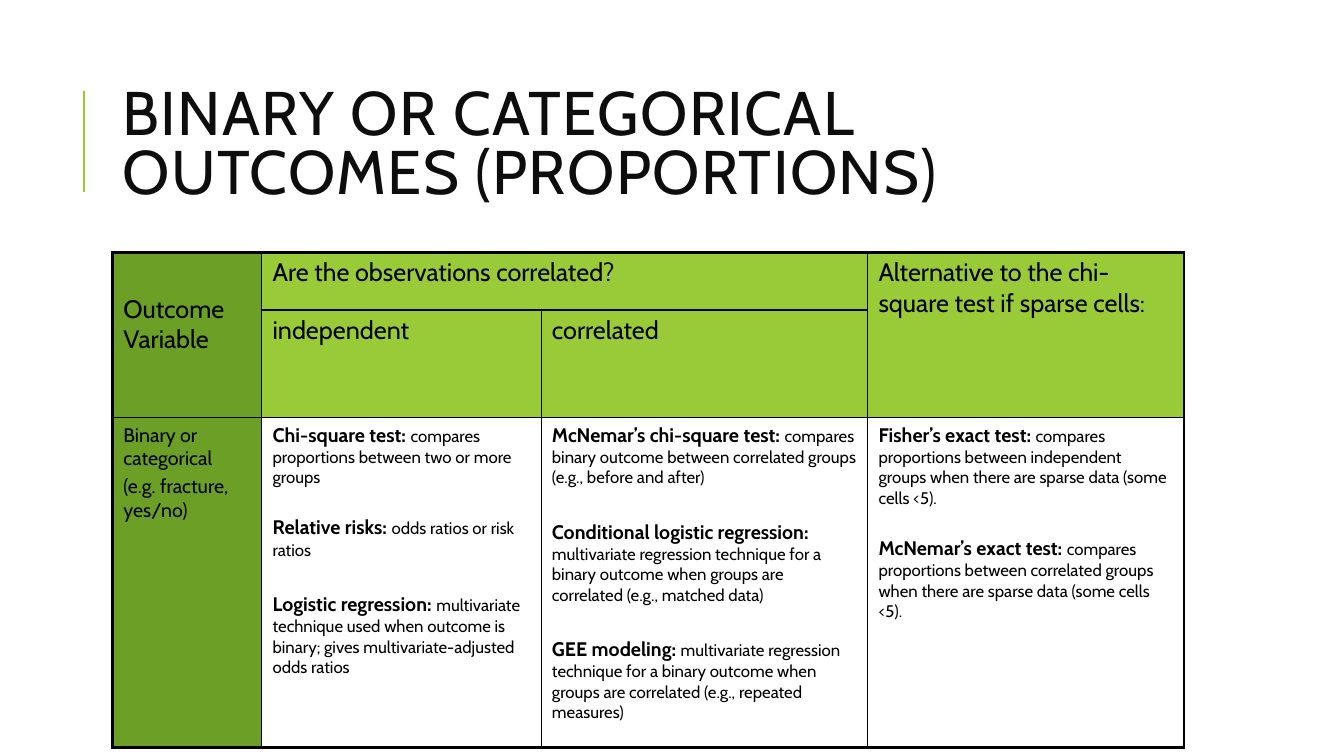
from lxml.etree import SubElement
from pptx import Presentation
from pptx.dml.color import RGBColor as Color
from pptx.enum.shapes import MSO_CONNECTOR as Connector
from pptx.enum.text import MSO_ANCHOR as Anchor
from pptx.oxml.ns import qn
from pptx.util import Cm, Pt

COLORS = {"lime": "99CB38", "green": "6B9F25", "white": "FFFFFF",
          "black": "000000", "title": "0D0D0D"}
FONT = "Cabin"
COLUMNS = (3.76, 7.04, 8.23, 7.97)
ROWS = (1.45, 2.72, 8.3)
MERGES = (((0, 0), (1, 0)), ((0, 1), (0, 2)), ((0, 3), (1, 3)))

# Header texts by (row, column)
HEADERS = {
    (0, 0): "Outcome Variable",
    (0, 1): "Are the observations correlated?",
    (0, 3): "Alternative to the chi-square test if sparse cells:",
    (1, 1): "independent",
    (1, 2): "correlated",
}
OUTCOME = ("Binary or categorical", "(e.g. fracture, yes/no)")
# Tests by column: points of space before, name, description
TESTS = {
    1: ((0, "Chi-square test: ", "compares proportions between two or more groups"),
        (20, "Relative risks: ", "odds ratios or risk ratios"),
        (23, "Logistic regression: ",
         "multivariate technique used when outcome is binary; "
         "gives multivariate-adjusted odds ratios")),
    2: ((0, "McNemar’s chi-square test: ",
         "compares binary outcome between correlated groups (e.g., before and after)"),
        (23, "Conditional logistic regression: ",
         "multivariate regression technique for a binary outcome when groups "
         "are correlated (e.g., matched data)"),
        (23, "GEE modeling: ",
         "multivariate regression technique for a binary outcome when groups "
         "are correlated (e.g., repeated measures)")),
    3: ((0, "Fisher’s exact test: ",
         "compares proportions between independent groups when there are "
         "sparse data (some cells <5)."),
        (20, "McNemar’s exact test: ",
         "compares proportions between correlated groups when there are "
         "sparse data (some cells <5).")),
}


def color(name):
    return Color.from_string(COLORS[name])


def add_span(para, text, size, bold=False, ink="black"):
    span = para.add_run()
    span.text = text
    for key, value in {"name": FONT, "size": Pt(size), "bold": bold}.items():
        setattr(span.font, key, value)
    span.font.color.rgb = color(ink)
    return span


def add_paragraph(frame, index, before=0):
    para = frame.add_paragraph() if index else frame.paragraphs[0]
    para.space_before = Pt(before)
    return para


def add_title(page, left, top, width, height):
    # Accent rule beside the title
    rule = page.shapes.add_connector(
        Connector.STRAIGHT, left - Cm(0.73), top + Cm(3.2),
        left - Cm(0.73), top + Cm(0.66))
    rule.line.color.rgb = color("lime")
    rule.line.width = Pt(1.5)
    SubElement(rule._element.spPr, qn("a:effectLst"))

    # Title text
    frame = page.shapes.add_textbox(left, top, width, height).text_frame
    for key, value in {"word_wrap": True, "vertical_anchor": Anchor.MIDDLE}.items():
        setattr(frame, key, value)
    para = add_paragraph(frame, 0)
    para.line_spacing = 0.8
    span = add_span(para, "BINARY OR CATEGORICAL OUTCOMES (PROPORTIONS)", 44, ink="title")
    span.font._element.set("spc", "100")


def draw_borders(cell, row, column):
    outer = {"lnL": column == 0, "lnR": column == len(COLUMNS) - 1,
             "lnT": row == 0, "lnB": row == len(ROWS) - 1}
    for side, thick in outer.items():
        line = SubElement(cell._tc.get_or_add_tcPr(), qn(f"a:{side}"),
                          w=str(Pt(2.25 if thick else 1)))
        fill = SubElement(line, qn("a:solidFill"))
        SubElement(fill, qn("a:srgbClr"), val=COLORS["black"])


def style_cell(cell, row, column):
    draw_borders(cell, row, column)
    name = "green" if column == 0 else "lime" if row < 2 else "white"
    cell.fill.solid()
    cell.fill.fore_color.rgb = color(name)
    margins = {"margin_left": 0.27, "margin_right": 0.27,
               "margin_top": 0.13, "margin_bottom": 0.13}
    for key, value in margins.items():
        setattr(cell, key, Cm(value))


def add_test_table(page, left, top, width, height):
    table = page.shapes.add_table(
        len(ROWS), len(COLUMNS), left, top, width, height).table
    for key in ("first_row", "horz_banding"):
        setattr(table, key, False)
    for column, size in zip(table.columns, COLUMNS):
        column.width = Cm(size)
    for row, size in zip(table.rows, ROWS):
        row.height = Cm(size)
    for row in range(len(ROWS)):
        for column in range(len(COLUMNS)):
            style_cell(table.cell(row, column), row, column)
    for first, last in MERGES:
        table.cell(*first).merge(table.cell(*last))

    # Headers
    for place, text in HEADERS.items():
        add_span(add_paragraph(table.cell(*place).text_frame, 0), text, 18)
    table.cell(0, 0).margin_top = Cm(1.04)

    # Outcome variable
    for index, text in enumerate(OUTCOME):
        para = add_paragraph(table.cell(2, 0).text_frame, index, 2.8 * index)
        add_span(para, text, 14)

    # Tests
    for column, tests in TESTS.items():
        frame = table.cell(2, column).text_frame
        for index, (before, name, description) in enumerate(tests):
            para = add_paragraph(frame, index, before)
            add_span(para, name, 14, bold=True)
            add_span(para, description, 12)


def main():
    deck = Presentation()
    deck.slide_width, deck.slide_height = Cm(33.87), Cm(19.05)
    page = deck.slides.add_slide(deck.slide_layouts[6])
    add_title(page, Cm(2.84), Cm(1.63), Cm(27), Cm(4.17))
    add_test_table(page, Cm(2.84), Cm(6.36), Cm(sum(COLUMNS)), Cm(sum(ROWS)))
    deck.save("out.pptx")


if __name__ == "__main__":
    main()
